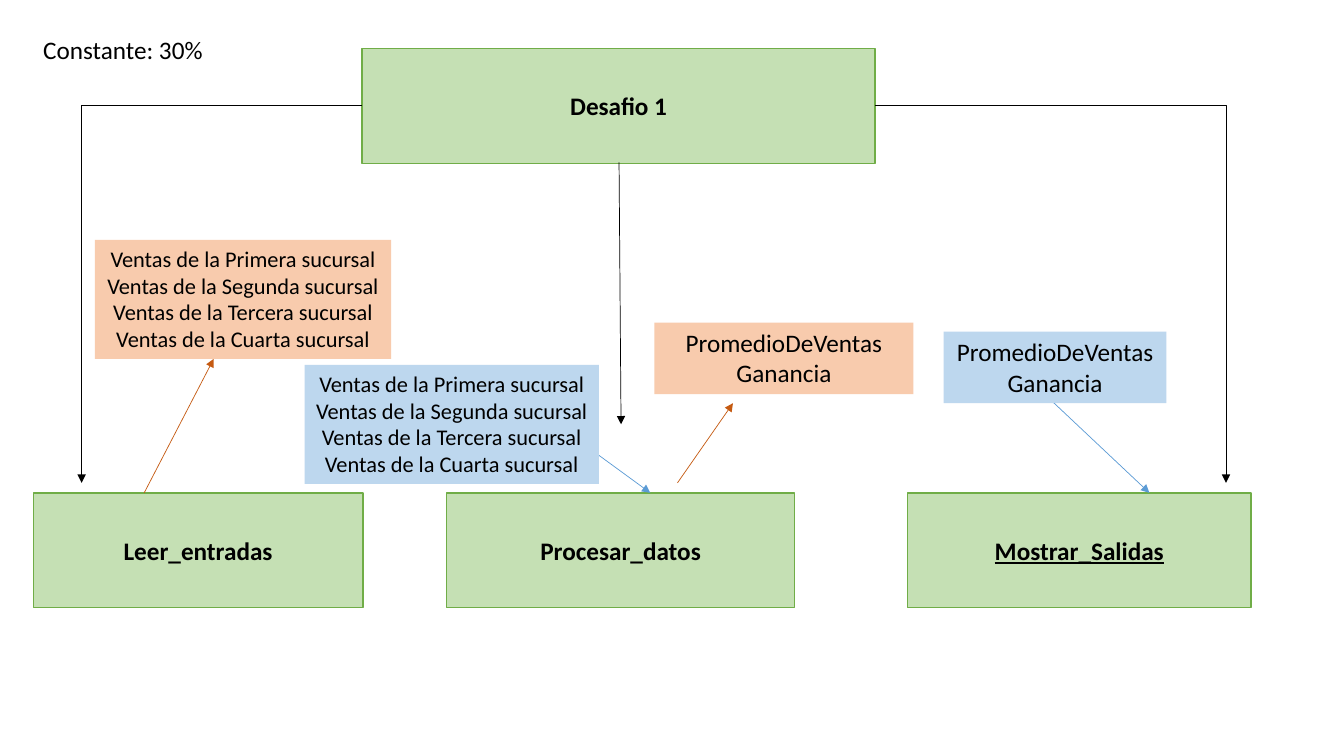
from pptx import Presentation
from pptx.dml.color import RGBColor
from pptx.enum.shapes import MSO_CONNECTOR as CONN, MSO_SHAPE
from pptx.enum.text import MSO_ANCHOR, PP_ALIGN
from pptx.oxml.ns import qn
from pptx.util import Inches, Pt
from lxml import etree

BLACK = RGBColor(0x00, 0x00, 0x00)
GREEN = RGBColor(0xC5, 0xE0, 0xB4)
GREEN_LINE = RGBColor(0x70, 0xAD, 0x47)
ORANGE = RGBColor(0xF8, 0xCB, 0xAD)
ORANGE_LINE = RGBColor(0xC5, 0x5A, 0x11)
BLUE = RGBColor(0xBD, 0xD7, 0xEE)
BLUE_LINE = RGBColor(0x5B, 0x9B, 0xD5)

prs = Presentation()
prs.slide_width, prs.slide_height = Inches(13.33), Inches(7.5)
s = prs.slides.add_slide(prs.slide_layouts[6])


def write(tf, lines, size, align=PP_ALIGN.CENTER, bold=False, underline=None):
    tf.word_wrap = True
    for i, line in enumerate(lines):
        p = tf.paragraphs[0] if i == 0 else tf.add_paragraph()
        p.text = line
        p.alignment = align
        p.font.name, p.font.size, p.font.bold = "Calibri", Pt(size), bold
        p.font.underline = underline
        p.font.color.rgb = BLACK


def arrow(start, end, color, kind=CONN.STRAIGHT):
    c = s.shapes.add_connector(kind, *map(Inches, start + end))
    c.line.color.rgb = color
    c.line.width = Pt(0.5)
    spPr = c._element.spPr
    etree.SubElement(spPr.find(qn("a:ln")), qn("a:tailEnd"), type="triangle")
    etree.SubElement(spPr, qn("a:effectLst"))
    if kind == CONN.ELBOW:  # a single corner
        spPr.find(qn("a:prstGeom")).set("prst", "bentConnector2")


# Main module and its three submodules
modules = [
    ("Desafio 1", 3.59, 0.48, 5.09, None),
    ("Leer_entradas", 0.33, 4.89, 3.27, None),
    ("Procesar_datos", 4.43, 4.89, 3.45, None),
    ("Mostrar_Salidas", 9, 4.89, 3.41, True),
]
for name, x, y, w, underline in modules:
    sp = s.shapes.add_shape(MSO_SHAPE.RECTANGLE, Inches(x), Inches(y), Inches(w), Inches(1.14))
    sp.shadow.inherit = False
    sp.fill.solid()
    sp.fill.fore_color.rgb = GREEN
    sp.line.color.rgb = GREEN_LINE
    sp.line.width = Pt(1)
    sp.text_frame.vertical_anchor = MSO_ANCHOR.MIDDLE
    write(sp.text_frame, [name], 18, bold=True, underline=underline)

# Calls from the main module
arrow((3.59, 1.05), (0.81, 4.79), BLACK, CONN.ELBOW)
arrow((8.68, 1.05), (12.16, 4.79), BLACK, CONN.ELBOW)
arrow((6.14, 1.61), (6.16, 4.21), BLACK)

# Data flows: orange leaves a module, blue enters one
arrow((1.43, 4.89), (2.12, 3.56), ORANGE_LINE)
arrow((6.72, 4.79), (7.27, 4), ORANGE_LINE)
arrow((5.78, 4.4), (6.45, 4.89), BLUE_LINE)
arrow((10.36, 3.91), (11.4, 4.89), BLUE_LINE)

# Data carried by each flow
sales = [f"Ventas de la {n} sucursal" for n in ("Primera", "Segunda", "Tercera", "Cuarta")]
results = ["PromedioDeVentas", "Ganancia"]
data_boxes = [
    (sales, 16, ORANGE, 0.94, 2.38, 2.94, 1.18),
    (results, 18, ORANGE, 6.49, 3.2, 2.57, 0.71),
    (results, 18, BLUE, 9.36, 3.29, 2.21, 0.71),
    (sales, 16, BLUE, 3.02, 3.62, 2.92, 1.18),
]
for lines, size, color, *box in data_boxes:
    sp = s.shapes.add_textbox(*map(Inches, box))
    sp.fill.solid()
    sp.fill.fore_color.rgb = color
    write(sp.text_frame, lines, size)

# Constant
sp = s.shapes.add_textbox(Inches(0.33), Inches(0.29), Inches(2.8), Inches(0.4))
write(sp.text_frame, ["Constante: 30%"], 18, PP_ALIGN.LEFT)

prs.save("out.pptx")
